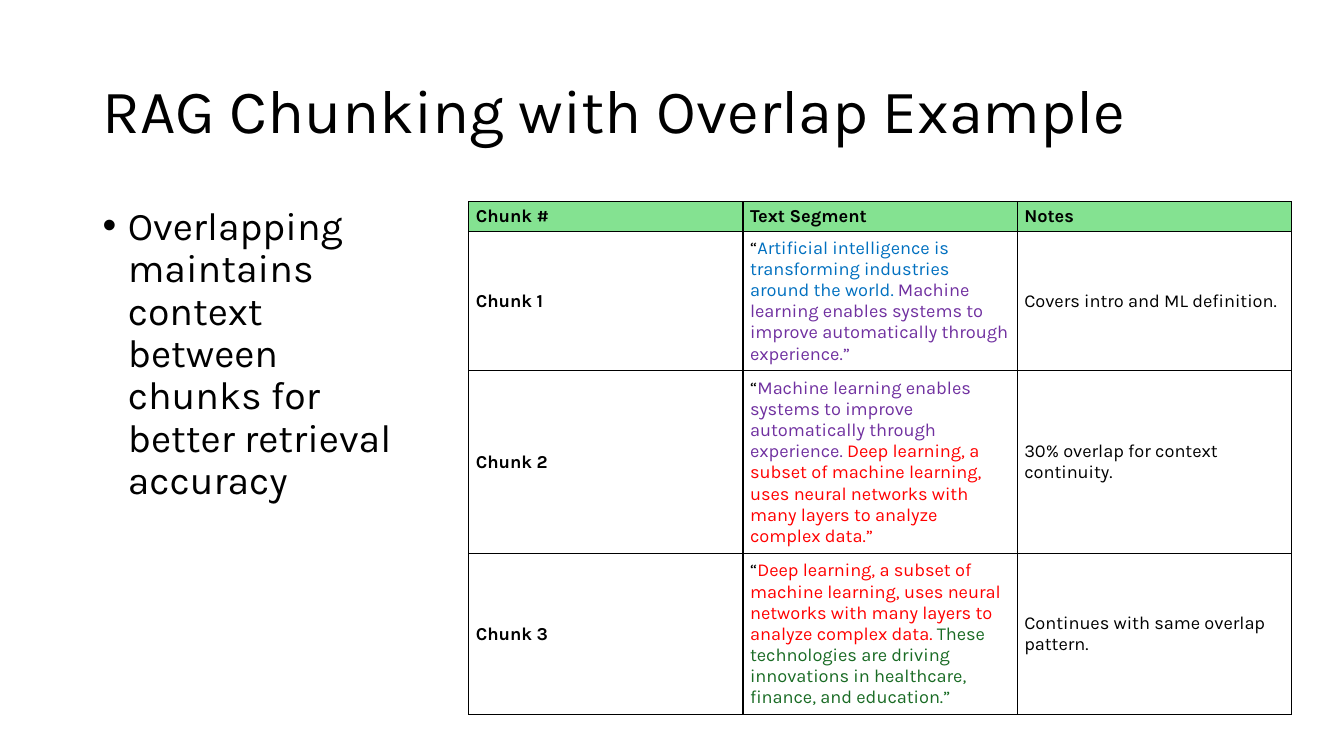
from dataclasses import dataclass

from lxml.etree import SubElement as Sub
from pptx import Presentation
from pptx.dml.color import RGBColor as RGB
from pptx.enum.text import MSO_ANCHOR as Anchor
from pptx.oxml.ns import qn
from pptx.util import Inches, Pt


@dataclass(frozen=True)
class Theme:
    font: str = "Karla"
    title: int = 44
    body: int = 28
    cell: int = 13
    black: str = "000000"
    head: str = "84E291"
    blue: str = "0070C0"
    purple: str = "7030A0"
    red: str = "FF0000"
    green: str = "196B24"


THEME = Theme()

# Sentences of the sample text, shared by neighbouring chunks
INTRO = "Artificial intelligence is transforming industries around the world."
LEARN = "Machine learning enables systems to improve automatically through experience."
DEEP = ("Deep learning, a subset of machine learning, uses neural networks "
        "with many layers to analyze complex data.")
USES = ("These technologies are driving innovations in healthcare, finance, "
        "and education.")

HEADS = ["Chunk #", "Text Segment", "Notes"]
CHUNKS = [
    ((INTRO, THEME.blue), (LEARN, THEME.purple), "Covers intro and ML definition."),
    ((LEARN, THEME.purple), (DEEP, THEME.red), "30% overlap for context continuity."),
    ((DEEP, THEME.red), (USES, THEME.green), "Continues with same overlap pattern."),
]
WIDTH = 2.72
ROWS = [0.28, 1.35, 1.56, 1.56]


def style(para, size, bold=False):
    font = para.font
    font.name, font.size, font.bold = THEME.font, Pt(size), bold
    font.color.rgb = RGB.from_string(THEME.black)


def add_text(slide, box, text, size, anchor):
    frame = slide.shapes.add_textbox(*map(Inches, box)).text_frame
    frame.word_wrap = True
    frame.vertical_anchor = anchor
    para = frame.paragraphs[0]
    para.text = text
    para.line_spacing = 0.9
    style(para, size)
    return para


def add_bullet(para):
    para.space_before = Pt(10)
    props = para._p.get_or_add_pPr()
    props.set("marL", str(Inches(0.25)))
    props.set("indent", str(Inches(-0.25)))
    Sub(props, qn("a:buFont"), typeface="Arial")
    Sub(props, qn("a:buChar"), char="•")


def add_border(cell):
    props = cell._tc.get_or_add_tcPr()
    for side in ("lnL", "lnR", "lnT", "lnB"):
        line = Sub(props, qn(f"a:{side}"), w=str(Pt(1)))
        fill = Sub(line, qn("a:solidFill"))
        Sub(fill, qn("a:srgbClr"), val=THEME.black)


def fill_cell(cell, parts, bold=False, fill=None):
    """Write (text, colour) parts into a bordered cell."""
    cell.vertical_anchor = Anchor.MIDDLE
    cell.margin_left = cell.margin_right = Inches(0.07)
    cell.margin_top = cell.margin_bottom = Inches(0.04)
    para = cell.text_frame.paragraphs[0]
    style(para, THEME.cell, bold)
    for text, color in parts:
        run = para.add_run()
        run.text = text
        run.font.color.rgb = RGB.from_string(color)
    add_border(cell)
    if fill:
        cell.fill.solid()
        cell.fill.fore_color.rgb = RGB.from_string(fill)
    else:
        cell.fill.background()


def add_chunks(slide, left, top):
    cols = len(HEADS)
    size = WIDTH * cols, sum(ROWS)
    table = slide.shapes.add_table(
        len(ROWS), cols, *map(Inches, (left, top, *size))).table
    table.first_row = table.horz_banding = False
    for col in table.columns:
        col.width = Inches(WIDTH)
    for row, height in zip(table.rows, ROWS):
        row.height = Inches(height)

    # Header row
    for col, head in enumerate(HEADS):
        fill_cell(table.cell(0, col), [(head, THEME.black)], True, THEME.head)

    # One row per chunk
    for row, (first, last, note) in enumerate(CHUNKS, 1):
        quote = [("“", THEME.black), (first[0] + " ", first[1]),
                 (last[0] + "”", last[1])]
        fill_cell(table.cell(row, 0), [(f"Chunk {row}", THEME.black)], True)
        fill_cell(table.cell(row, 1), quote)
        fill_cell(table.cell(row, 2), [(note, THEME.black)])


def main():
    deck = Presentation()
    deck.slide_width, deck.slide_height = Inches(13.33), Inches(7.5)
    slide = deck.slides.add_slide(deck.slide_layouts[6])

    # Title and key point
    add_text(slide, (0.92, 0.4, 11.5, 1.45), "RAG Chunking with Overlap Example",
             THEME.title, Anchor.MIDDLE)
    point = add_text(
        slide, (0.92, 2, 3.35, 4.76),
        "Overlapping maintains context between chunks for better retrieval accuracy",
        THEME.body, Anchor.TOP)
    add_bullet(point)

    # Example table
    add_chunks(slide, 4.65, 2)
    deck.save("out.pptx")


if __name__ == "__main__":
    main()
